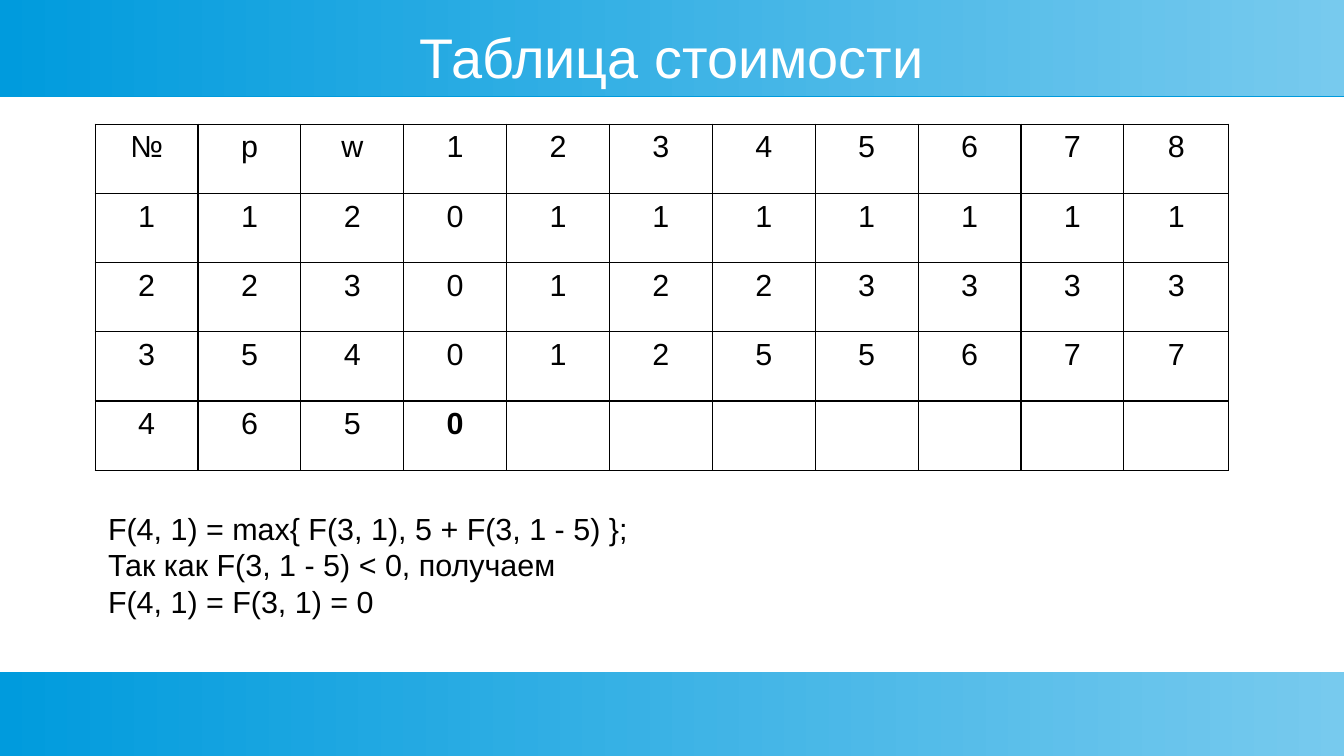
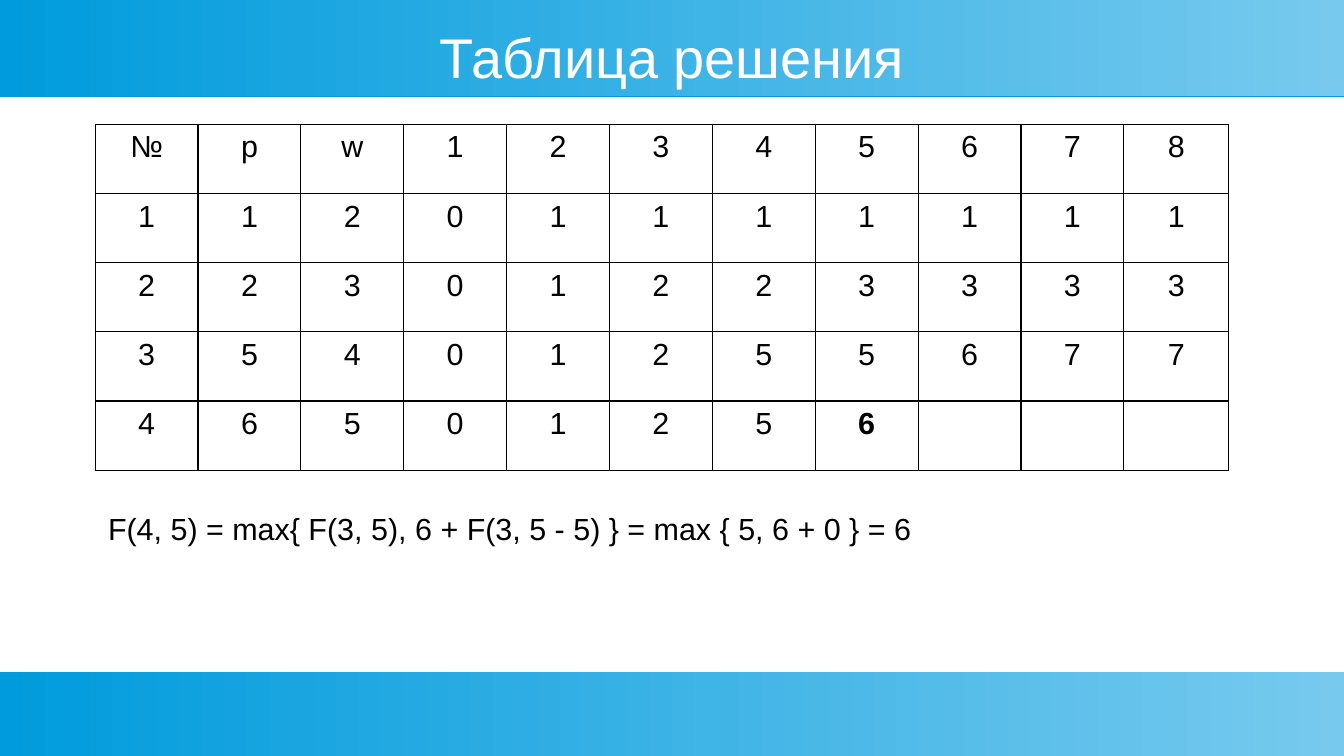
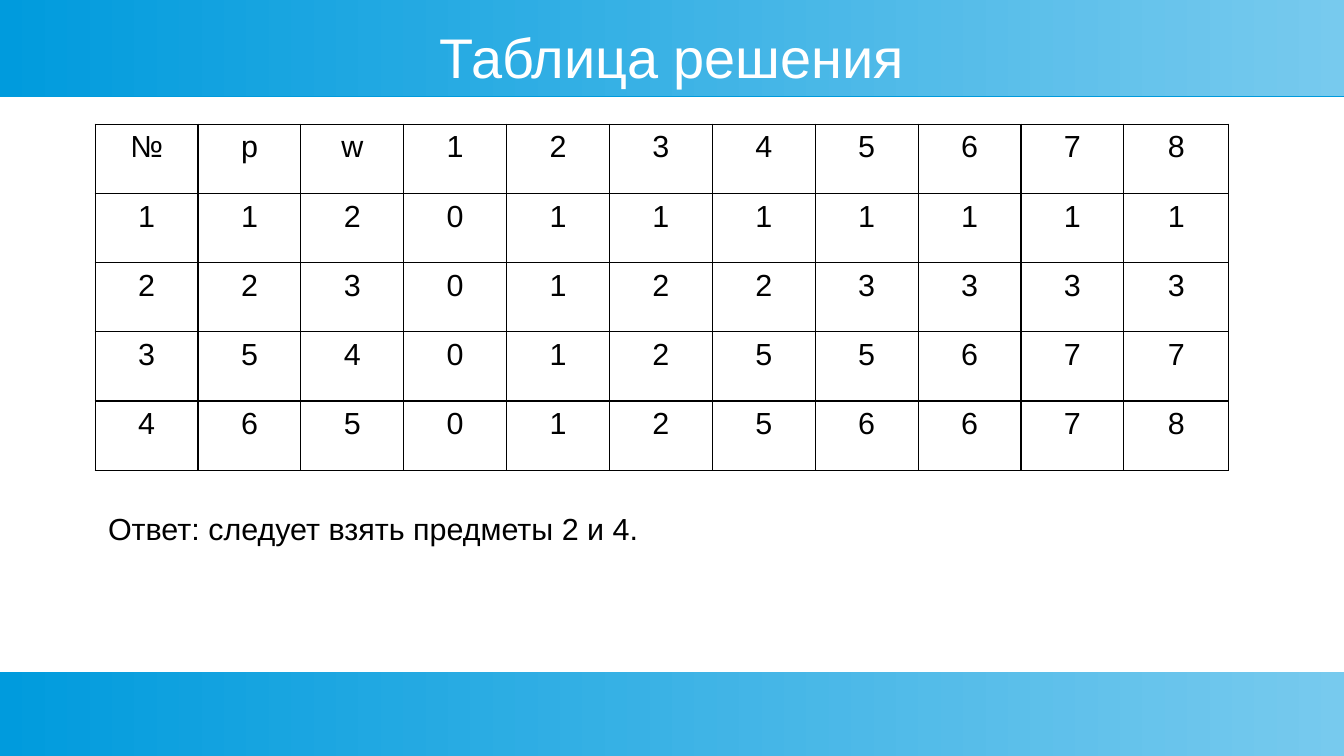
from dataclasses import dataclass
from typing import Optional

from lxml.etree import SubElement
from pptx import Presentation
from pptx.dml.color import RGBColor
from pptx.enum.shapes import MSO_SHAPE as Shape
from pptx.enum.text import MSO_ANCHOR as Anchor, MSO_AUTO_SIZE as AutoSize, PP_ALIGN as Align
from pptx.oxml.ns import qn
from pptx.util import Pt

FONT = "Arial"
COLORS = {
    "band_light": "77CAEE",
    "band_dark": "009BDD",
    "title": "FFFFFF",
    "text": "000000",
    "border": "000000",
}
SLIDE_WIDTH, SLIDE_HEIGHT = 793.7, 446.46
BODY_SIZE = 18
TITLE_SIZE = 33
COLUMN_WIDTH, LAST_COLUMN_WIDTH = 60.75, 62.1
ROW_HEIGHT = 40.9
BORDER_WIDTH = 0.75

HEADER = "№ p w 1 2 3 4 5 6 7 8".split()
SOLVED_ROWS = [
    "1 1 2 0 1 1 1 1 1 1 1".split(),
    "2 2 3 0 1 2 2 3 3 3 3".split(),
    "3 5 4 0 1 2 5 5 6 7 7".split(),
]


@dataclass(frozen=True)
class Box:
    left: float
    top: float
    width: float
    height: float

    def lengths(self) -> tuple:
        return Pt(self.left), Pt(self.top), Pt(self.width), Pt(self.height)


@dataclass(frozen=True)
class Step:
    """One slide: the filled part of row 4, the column in bold, the lines below."""
    title: str
    last_row: str
    notes: tuple
    bold_column: Optional[int] = None


BANDS = [Box(0, 0, SLIDE_WIDTH, 56.7), Box(0, 396.85, SLIDE_WIDTH, 49.61)]
TITLE_BOX = Box(28.35, 14.2, 737, 37.6)
TABLE_ORIGIN = (56.2, 73.3)
NOTE_ORIGIN = (56.7, 297.4)
NOTE_WIDTH, NOTE_LINE, NOTE_MARGINS = 666, 20.2, 7.2

STEPS = [
    Step("Таблица стоимости", "4 6 5 0",
         ("F(4, 1) = max{ F(3, 1), 5 + F(3, 1 - 5) };",
          "Так как F(3, 1 - 5) < 0, получаем",
          "F(4, 1) = F(3, 1) = 0"), 3),
    Step("Таблица решения", "4 6 5 0 1 2 5 6",
         ("F(4, 5) = max{ F(3, 5), 6 + F(3, 5 - 5) } = max { 5, 6 + 0 } = 6",), 7),
    Step("Таблица решения", "4 6 5 0 1 2 5 6 6 7 8",
         ("Ответ: следует взять предметы 2 и 4.",)),
]


def rgb(name: str) -> RGBColor:
    return RGBColor.from_string(COLORS[name])


def add_run(paragraph, text: str, size: float, color: str, bold: bool = False) -> None:
    run = paragraph.add_run()
    run.text = text
    run.font.name = FONT
    run.font.size = Pt(size)
    run.font.bold = bold
    run.font.color.rgb = rgb(color)


def add_band(slide, box: Box):
    band = slide.shapes.add_shape(Shape.RECTANGLE, *box.lengths())
    band.fill.gradient()
    band.fill.gradient_angle = 180
    for stop, color in zip(band.fill.gradient_stops, ("band_light", "band_dark")):
        stop.color.rgb = rgb(color)
    band.line.fill.background()
    band.shadow.inherit = False
    effects = band.element.spPr.find(qn("a:effectLst"))
    shadow = SubElement(effects, qn("a:outerShdw"), blurRad="0", dist=str(Pt(0.9)),
                        dir="5400000", algn="ctr", rotWithShape="0")
    SubElement(shadow, qn("a:srgbClr"), val=COLORS["band_dark"])
    return band


def move_bands_to_master(presentation, slide) -> None:
    """Draw the bands on a slide, then put them behind everything on the master."""
    master_tree = presentation.slide_master.shapes.element
    for number, box in enumerate(BANDS):
        element = add_band(slide, box).element
        element.nvSpPr.cNvPr.set("id", str(100 + number))
        master_tree.insert(2 + number, element)


def fill_title(slide, text: str) -> None:
    title = slide.shapes.title
    title.left, title.top, title.width, title.height = TITLE_BOX.lengths()
    frame = title.text_frame
    frame.margin_left = frame.margin_top = frame.margin_right = frame.margin_bottom = 0
    frame.vertical_anchor = Anchor.MIDDLE
    frame.word_wrap = True
    frame.auto_size = AutoSize.NONE
    paragraph = frame.paragraphs[0]
    paragraph.alignment = Align.CENTER
    add_run(paragraph, text, TITLE_SIZE, "title")


def set_borders(cell) -> None:
    properties = cell._tc.get_or_add_tcPr()
    for position, side in enumerate(("lnL", "lnR", "lnT", "lnB")):
        line = SubElement(properties, qn(f"a:{side}"), w=str(Pt(BORDER_WIDTH)))
        fill = SubElement(line, qn("a:solidFill"))
        SubElement(fill, qn("a:srgbClr"), val=COLORS["border"])
        properties.insert(position, line)


def format_cell(cell, text: str, bold: bool) -> None:
    cell.margin_left = cell.margin_right = Pt(2.9)
    cell.margin_top = cell.margin_bottom = Pt(3.6)
    cell.fill.background()
    set_borders(cell)
    paragraph = cell.text_frame.paragraphs[0]
    paragraph.alignment = Align.CENTER
    paragraph.font.size = Pt(BODY_SIZE)
    if text:
        add_run(paragraph, text, BODY_SIZE, "text", bold)


def add_cost_table(slide, step: Step) -> None:
    last_row = step.last_row.split()
    last_row += [""] * (len(HEADER) - len(last_row))
    rows = [HEADER, *SOLVED_ROWS, last_row]
    widths = [COLUMN_WIDTH] * (len(HEADER) - 1) + [LAST_COLUMN_WIDTH]
    box = Box(*TABLE_ORIGIN, sum(widths), ROW_HEIGHT * len(rows))
    table = slide.shapes.add_table(len(rows), len(HEADER), *box.lengths()).table
    table.first_row = table.horz_banding = False
    for column, width in zip(table.columns, widths):
        column.width = Pt(width)
    for row_index, values in enumerate(rows):
        table.rows[row_index].height = Pt(ROW_HEIGHT)
        for column_index, value in enumerate(values):
            bold = values is last_row and column_index == step.bold_column
            format_cell(table.cell(row_index, column_index), value, bold)


def add_notes_below(slide, lines: tuple) -> None:
    box = Box(*NOTE_ORIGIN, NOTE_WIDTH, NOTE_LINE * len(lines) + NOTE_MARGINS)
    frame = slide.shapes.add_textbox(*box.lengths()).text_frame
    frame.word_wrap = True
    for index, line in enumerate(lines):
        paragraph = frame.add_paragraph() if index else frame.paragraphs[0]
        add_run(paragraph, line, BODY_SIZE, "text")


def main() -> None:
    presentation = Presentation()
    presentation.slide_width = Pt(SLIDE_WIDTH)
    presentation.slide_height = Pt(SLIDE_HEIGHT)
    title_only = presentation.slide_layouts[5]
    for index, step in enumerate(STEPS):
        slide = presentation.slides.add_slide(title_only)
        if index == 0:
            move_bands_to_master(presentation, slide)
        fill_title(slide, step.title)
        add_cost_table(slide, step)
        add_notes_below(slide, step.notes)
    presentation.save("out.pptx")


if __name__ == "__main__":
    main()
